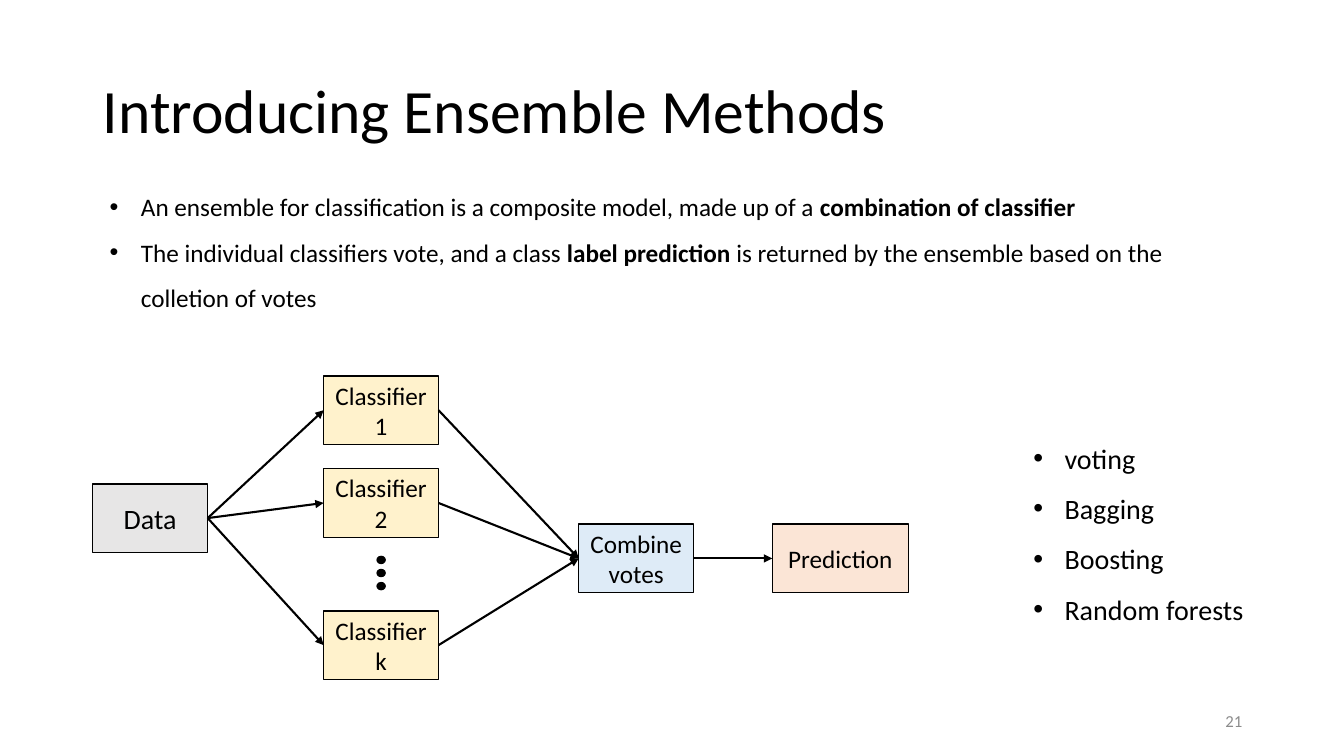
import pptx
import pptx.util
import pptx.dml.color
import pptx.enum.shapes
import pptx.enum.text
import pptx.oxml.ns
import lxml.etree

Inches = pptx.util.Inches
Pt = pptx.util.Pt
ALIGN = pptx.enum.text.PP_ALIGN
ANCHOR = pptx.enum.text.MSO_ANCHOR
SHAPE = pptx.enum.shapes.MSO_SHAPE
qn = pptx.oxml.ns.qn

# Content
TITLE = "Introducing Ensemble Methods"
PAGE_NUMBER = "21"
# Each bullet is a list of (text, bold) runs
EXPLANATION = [
    [("An ensemble for classification is a composite model, made up of a ", False),
     ("combination of classifier", True)],
    [("The individual classifiers vote, and a class ", False),
     ("label prediction", True),
     (" is returned by the ensemble based on the colletion of votes", False)],
]
METHODS = [[(name, False)] for name in ("voting", "Bagging", "Boosting", "Random forests")]

# Flow boxes: text, left, top, width, fill, size
BOX_WIDTH, BOX_HEIGHT = 1.14, 0.68
CLASSIFIER_LEFT = 3.21
BOXES = {
    "data": ("Data", 0.92, 4.8, BOX_WIDTH, "E7E6E6", 20),
    "combine": ("Combine votes", 5.74, 5.2, BOX_WIDTH, "DEEBF7", 18),
    "prediction": ("Prediction", 7.66, 5.2, 1.35, "FBE5D6", 18),
}
CLASSIFIERS = {"1": 3.73, "2": 4.65, "k": 6.06}
for label, top in CLASSIFIERS.items():
    BOXES[label] = ("Classifier" + label, CLASSIFIER_LEFT, top, BOX_WIDTH, "FFF2CC", 18)
ARROWS = ([("data", label) for label in CLASSIFIERS]
          + [(label, "combine") for label in CLASSIFIERS]
          + [("combine", "prediction")])
DOT_WIDTH, DOT_HEIGHT, DOT_TOP, DOT_STEP = 0.08, 0.07, 5.52, 0.13


def color(hex_string):
    return pptx.dml.color.RGBColor.from_string(hex_string)


def style(font, size, hex_string="000000"):
    font.name = "Calibri"
    font.size = Pt(size)
    font.color.rgb = color(hex_string)


def add_text_box(slide, left, top, width, height):
    box = slide.shapes.add_textbox(Inches(left), Inches(top), Inches(width), Inches(height))
    box.text_frame.word_wrap = True
    return box.text_frame


def add_bullets(slide, bullets, place, size):
    frame = add_text_box(slide, *place)
    for index, runs in enumerate(bullets):
        paragraph = frame.paragraphs[0] if index == 0 else frame.add_paragraph()
        paragraph.line_spacing = 1.5
        properties = paragraph._p.get_or_add_pPr()
        properties.set("marL", str(Inches(0.31)))
        properties.set("indent", str(-Inches(0.31)))
        lxml.etree.SubElement(properties, qn("a:buFont"), typeface="Arial")
        lxml.etree.SubElement(properties, qn("a:buChar"), char="•")
        for text, bold in runs:
            run = paragraph.add_run()
            run.text = text
            style(run.font, size)
            run.font.bold = bold


def add_filled_shape(slide, kind, left, top, width, height, fill):
    shape = slide.shapes.add_shape(kind, Inches(left), Inches(top), Inches(width), Inches(height))
    shape.shadow.inherit = False
    shape.fill.solid()
    shape.fill.fore_color.rgb = color(fill)
    shape.line.color.rgb = color("000000")
    shape.line.width = Pt(1)
    return shape


def add_flow_box(slide, text, left, top, width, fill, size):
    shape = add_filled_shape(slide, SHAPE.RECTANGLE, left, top, width, BOX_HEIGHT, fill)
    frame = shape.text_frame
    frame.word_wrap = True
    frame.vertical_anchor = ANCHOR.MIDDLE
    frame.text = text
    frame.paragraphs[0].alignment = ALIGN.CENTER
    style(frame.paragraphs[0].runs[0].font, size)
    return shape


def add_arrow(slide, start, end):
    arrow = slide.shapes.add_connector(pptx.enum.shapes.MSO_CONNECTOR.STRAIGHT, 0, 0, 0, 0)
    arrow.begin_connect(start, 3)
    arrow.end_connect(end, 1)
    arrow.line.color.rgb = color("000000")
    arrow.line.width = Pt(1.5)
    lxml.etree.SubElement(arrow.line._get_or_add_ln(), qn("a:tailEnd"), type="triangle")
    lxml.etree.SubElement(arrow._element.spPr, qn("a:effectLst"))


def main():
    presentation = pptx.Presentation()
    presentation.slide_width, presentation.slide_height = Inches(13.33), Inches(7.5)
    slide = presentation.slides.add_slide(presentation.slide_layouts[5])

    # Title
    title = slide.shapes.title
    title.left, title.top = Inches(0.92), Inches(0.4)
    title.width, title.height = Inches(11.5), Inches(1.45)
    title.text_frame.text = TITLE
    title.text_frame.auto_size = pptx.enum.text.MSO_AUTO_SIZE.NONE
    title.text_frame.vertical_anchor = ANCHOR.MIDDLE
    paragraph = title.text_frame.paragraphs[0]
    paragraph.alignment = ALIGN.LEFT
    paragraph.line_spacing = 0.9
    style(paragraph.runs[0].font, 44)

    # Bullet lists
    add_bullets(slide, METHODS, (10.15, 4.16, 3.38, 2.07), 20)
    add_bullets(slide, EXPLANATION, (0.99, 1.7, 11.5, 1.42), 18)

    # Dots between the second and the last classifier
    dot_left = CLASSIFIER_LEFT + (BOX_WIDTH - DOT_WIDTH) / 2
    for index in range(3):
        add_filled_shape(slide, SHAPE.OVAL, dot_left, DOT_TOP + index * DOT_STEP,
                         DOT_WIDTH, DOT_HEIGHT, "000000")

    # Flow chart
    shapes = {name: add_flow_box(slide, *box) for name, box in BOXES.items()}
    for start, end in ARROWS:
        add_arrow(slide, shapes[start], shapes[end])

    # Page number
    frame = add_text_box(slide, 9.42, 6.95, 3, 0.4)
    frame.vertical_anchor = ANCHOR.MIDDLE
    frame.text = PAGE_NUMBER
    frame.paragraphs[0].alignment = ALIGN.RIGHT
    style(frame.paragraphs[0].runs[0].font, 12, "8C8C8C")

    presentation.save("out.pptx")


if __name__ == "__main__":
    main()
